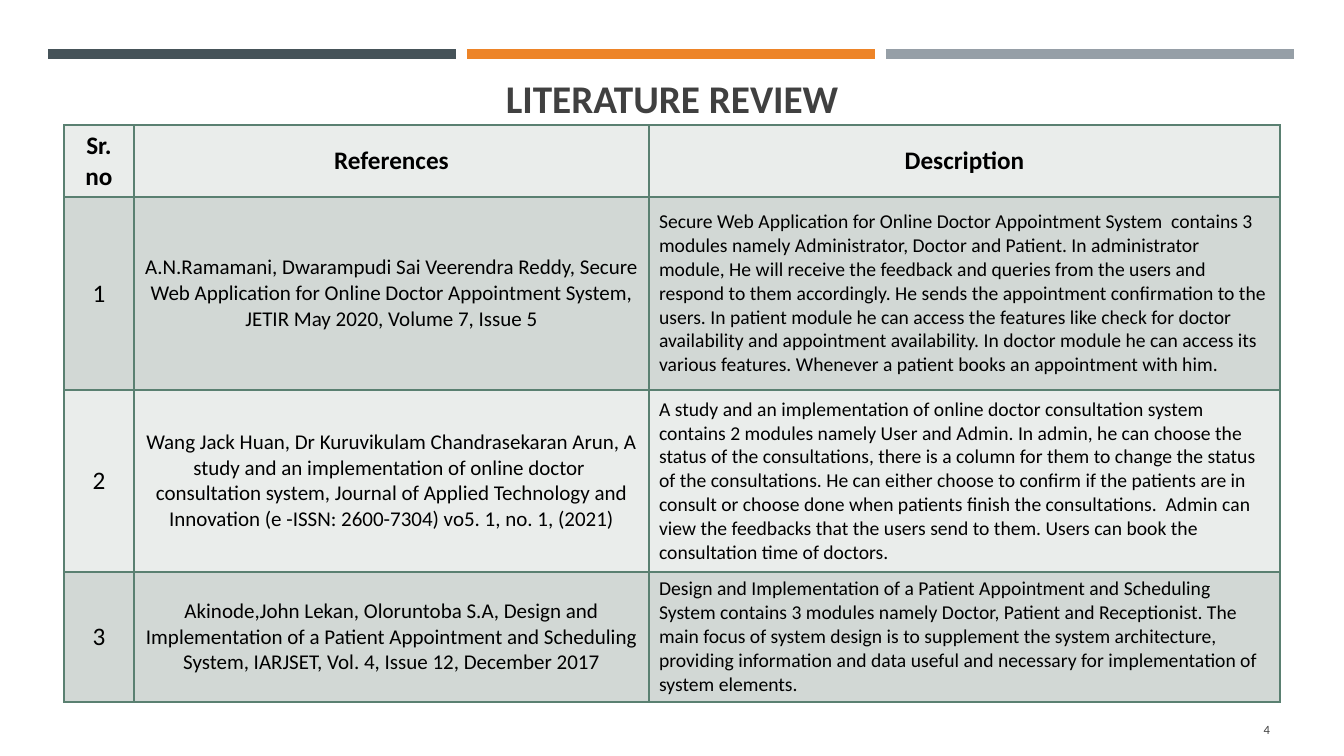
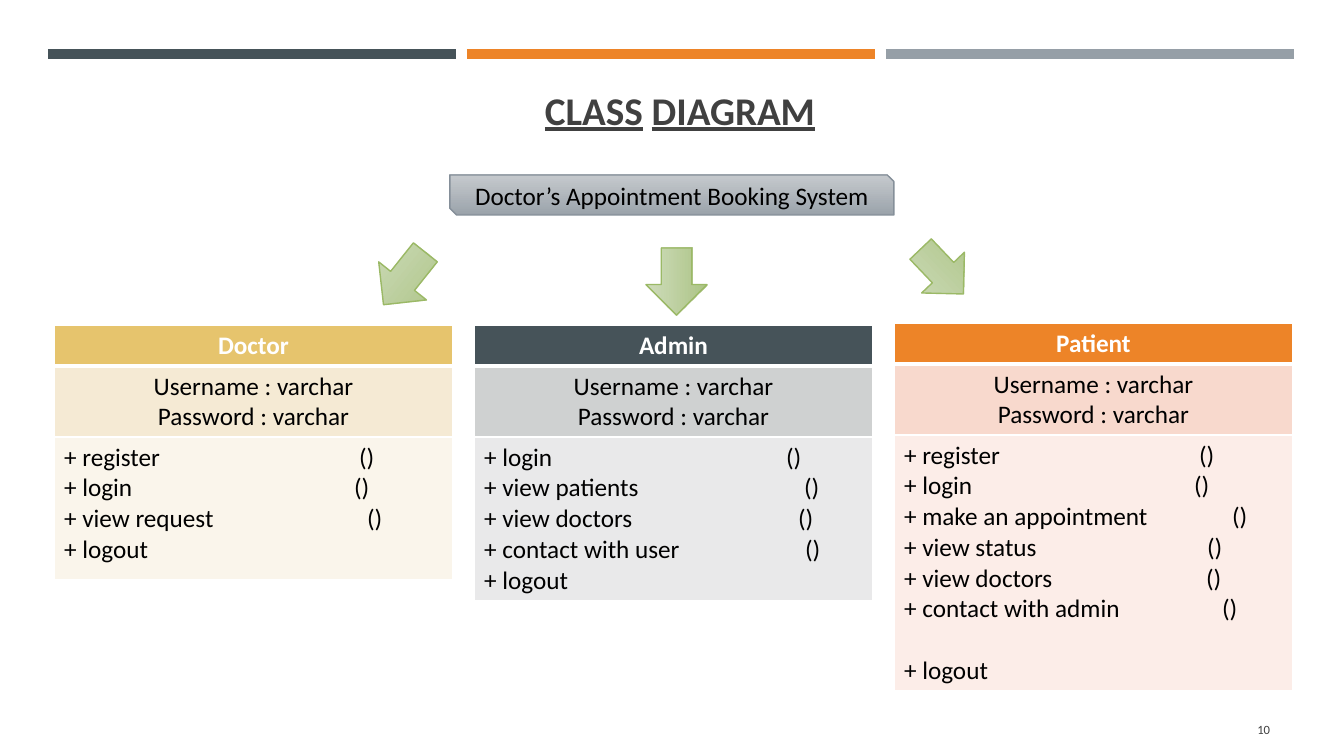
from lxml import etree
from pptx import Presentation
from pptx.dml.color import RGBColor
from pptx.enum.shapes import MSO_CONNECTOR, MSO_SHAPE
from pptx.enum.text import MSO_ANCHOR, MSO_AUTO_SIZE, PP_ALIGN
from pptx.oxml.ns import qn
from pptx.util import Emu, Pt

LEFT, MID, RIGHT = PP_ALIGN.LEFT, PP_ALIGN.CENTER, PP_ALIGN.RIGHT
TOP, CENTER, BOTTOM = MSO_ANCHOR.TOP, MSO_ANCHOR.MIDDLE, MSO_ANCHOR.BOTTOM
STRAIGHT = MSO_CONNECTOR.STRAIGHT
SNIP, ARROW = MSO_SHAPE.SNIP_2_DIAG_RECTANGLE, MSO_SHAPE.LEFT_ARROW

BLACK = RGBColor(0x00, 0x00, 0x00)
WHITE = RGBColor(0xFF, 0xFF, 0xFF)
INK = RGBColor(0x40, 0x40, 0x40)
SLATE = RGBColor(0x46, 0x53, 0x59)
ORANGE = RGBColor(0xED, 0x84, 0x28)
GREY = RGBColor(0x96, 0x9F, 0xA7)
GREEN = RGBColor(0x5A, 0x80, 0x71)
PALE = RGBColor(0xEA, 0xED, 0xEB)
SAGE = RGBColor(0xD2, 0xD8, 0xD5)
GOLD = RGBColor(0xE6, 0xC4, 0x6D)
GOLD_MID = RGBColor(0xF5, 0xEA, 0xD4)
GOLD_PALE = RGBColor(0xFA, 0xF5, 0xEB)
SLATE_MID = RGBColor(0xCF, 0xD1, 0xD1)
SLATE_PALE = RGBColor(0xE9, 0xE9, 0xEA)
PEACH_MID = RGBColor(0xF8, 0xD9, 0xCD)
PEACH_PALE = RGBColor(0xFC, 0xED, 0xE8)
STEEL = (RGBColor(0xC0, 0xC5, 0xC9), RGBColor(0x9B, 0xA3, 0xAB))
STEEL_EDGE = RGBColor(0x85, 0x8F, 0x99)
LEAF = (RGBColor(0xCA, 0xD9, 0xB4), RGBColor(0xAC, 0xC4, 0x85))
LEAF_EDGE = RGBColor(0x9B, 0xB9, 0x66)

SCALE = 914400 / 100.8


def px(*nums):
    return [Emu(round(n * SCALE)) for n in nums]


def write(frame, lines, align, color, size, bold=False):
    """Fill a frame; a line is a string or a tuple of runs."""
    look = {"name": "Calibri", "size": Pt(size), "bold": bold}
    for i, line in enumerate(lines):
        para = frame.add_paragraph() if i else frame.paragraphs[0]
        para.alignment = align
        for part in [line] if isinstance(line, str) else line:
            run = para.add_run()
            run.text = part
            run.font.color.rgb = color
            for key, value in look.items():
                setattr(run.font, key, value)


prs = Presentation()
prs.slide_width, prs.slide_height = px(1344, 756)
layout = prs.slide_layouts[5]

# Titles and page numbers
review, classes = [prs.slides.add_slide(layout) for _ in range(2)]
heads = [
    (review, ("LITERATURE REVIEW",), (64, 67, 1216, 59), "4"),
    (classes, ("CLASS", " ", "DIAGRAM"), (72, 78, 1216, 60), "10"),
]
for slide, words, box, page in heads:
    title = slide.shapes.title
    title.left, title.top, title.width, title.height = px(*box)
    frame = title.text_frame
    frame.auto_size = MSO_AUTO_SIZE.NONE
    frame.vertical_anchor = BOTTOM
    write(frame, [words], MID, INK, 28, True)
    note = slide.shapes.add_textbox(*px(1164, 709, 116, 40)).text_frame
    note.word_wrap = True
    note.vertical_anchor = CENTER
    write(note, [page], RIGHT, INK, 9)

for run in classes.shapes.title.text_frame.paragraphs[0].runs:
    run.font.underline = run.text != " "

# Bands, moved to the layout so that both slides share them
for i, color in enumerate((SLATE, ORANGE, GREY)):
    x = 48 + 419 * i
    band = review.shapes.add_connector(STRAIGHT, *px(x, 54, x + 408, 54))
    band.line.color.rgb = color
    band.line.width = Pt(6.5)
    etree.SubElement(band.element.spPr, qn("a:effectLst"))
    layout.shapes.element.append(band.element)

# Table contents: one list of lines per cell
papers = [
    [["Sr. no"], ["References"], ["Description"]],
    [["1"],
     ["A.N.Ramamani, Dwarampudi Sai Veerendra Reddy, Secure Web Application for "
      "Online Doctor Appointment System, JETIR May 2020, Volume 7, Issue 5"],
     ["Secure Web Application for Online Doctor Appointment System  contains 3 "
      "modules namely Administrator, Doctor and Patient. In administrator module, "
      "He will receive the feedback and queries from the users and respond to them "
      "accordingly. He sends the appointment confirmation to the users. In patient "
      "module he can access the features like check for doctor availability and "
      "appointment availability. In doctor module he can access its various "
      "features. Whenever a patient books an appointment with him."]],
    [["2"],
     ["Wang Jack Huan, Dr Kuruvikulam Chandrasekaran Arun, A study and an "
      "implementation of online doctor ",
      "consultation system, Journal of Applied Technology and Innovation "
      "(e -ISSN: 2600-7304) vo5. 1, no. 1, (2021)"],
     ["A study and an implementation of online doctor consultation system contains "
      "2 modules namely User and Admin. In admin, he can choose the status of the "
      "consultations, there is a column for them to change the status of the "
      "consultations. He can either choose to confirm if the patients are in "
      "consult or choose done when patients finish the consultations.  Admin can "
      "view the feedbacks that the users send to them. Users can book the "
      "consultation time of doctors."]],
    [["3"],
     ["Akinode,John Lekan, Oloruntoba S.A, Design and Implementation of a Patient "
      "Appointment and Scheduling System, IARJSET, Vol. 4, Issue 12, December 2017"],
     ["Design and Implementation of a Patient Appointment and Scheduling System "
      "contains 3 modules namely Doctor, Patient and Receptionist. The main focus "
      "of system design is to supplement the system architecture, providing "
      "information and data useful and necessary for implementation of system "
      "elements."]],
]
fields = ["Username : varchar", "Password : varchar"]

# Each method with the tab stop of its brackets
roles = [
    ("Doctor", 325, 143, (GOLD, GOLD_MID, GOLD_PALE),
     [("register", 295), ("login", 290), ("view request", 303)]),
    ("Admin", 325, 164, (SLATE, SLATE_MID, SLATE_PALE),
     [("login", 302), ("view patients", 320), ("view doctors", 314),
      ("contact with user", 321)]),
    ("Patient", 323, 256, (ORANGE, PEACH_MID, PEACH_PALE),
     [("register", 295), ("login", 290), ("make an appointment", 328),
      ("view status", 303), ("view doctors", 302), ("contact with admin", 318)]),
]

# Slide, corner, widths, heights, fills, cells, looks, anchor, edge, head rule
body = [(MID, BLACK, 18), (MID, BLACK, 15), (LEFT, BLACK, 14)]
grids = [(review, (64, 125), (70, 515, 631), (72, 193, 182, 130),
          (PALE, SAGE, PALE, SAGE), papers,
          [[(MID, BLACK, 18, True)] * 3] + [body] * 3, CENTER, GREEN, 1)]
for i, (name, top, tall, fills, calls) in enumerate(roles):
    lines = [f"+ {call}\t()" for call, _ in calls] + ["+ logout"]
    grids.append((classes, (54 + 420 * i, top), (399,), (41, 71, tall), fills,
                  [[[name]], [fields], [lines]],
                  [[(MID, WHITE, 18, True)], [(MID, BLACK, 18)], [(LEFT, BLACK, 18)]],
                  TOP, WHITE, 3))

tables = []
for slide, spot, wides, talls, fills, cells, looks, anchor, edge, rule in grids:
    size = (sum(wides), sum(talls))
    table = slide.shapes.add_table(len(talls), len(wides), *px(*spot, *size)).table
    table.horz_banding = False
    tables.append(table)
    for col, wide in zip(table.columns, px(*wides)):
        col.width = wide
    for r, (row, tall) in enumerate(zip(table.rows, px(*talls))):
        row.height = tall
        for c, cell in enumerate(row.cells):
            cell.vertical_anchor = anchor
            props = cell._tc.get_or_add_tcPr()
            for side in "LRTB":
                thick = rule if (r, side) in ((0, "B"), (1, "T")) else 1
                line = etree.SubElement(props, qn(f"a:ln{side}"), w=str(Pt(thick)))
                solid = etree.SubElement(line, qn("a:solidFill"))
                etree.SubElement(solid, qn("a:srgbClr"), val=str(edge))
            cell.fill.solid()
            cell.fill.fore_color.rgb = fills[r]
            write(cell.text_frame, cells[r][c], *looks[r][c])

for table, role in zip(tables[1:], roles):
    paras = table.cell(2, 0).text_frame.paragraphs
    for para, (_, stop) in zip(paras, role[-1]):
        tabs = etree.SubElement(para._p.get_or_add_pPr(), qn("a:tabLst"))
        etree.SubElement(tabs, qn("a:tab"), pos=str(px(stop)[0]), algn="l")
# The last method of the last class stands one line apart
paras[-1].space_before = Pt(22)

# System box and arrows
shapes = [
    (SNIP, (450, 175, 444, 40), 0, STEEL, STEEL_EDGE),
    (ARROW, (371, 248, 67, 61), 308.6, LEAF, LEAF_EDGE),
    (ARROW, (643, 251, 67, 61), 270, LEAF, LEAF_EDGE),
    (ARROW, (911, 242, 62, 59), 226.4, LEAF, LEAF_EDGE),
]
for kind, box, turn, shades, edge in shapes:
    shape = classes.shapes.add_shape(kind, *px(*box))
    shape.rotation = turn
    shape.shadow.inherit = False
    shape.fill.gradient()
    shape.fill.gradient_angle = 270
    for i, (stop, shade) in enumerate(zip(shape.fill.gradient_stops, shades)):
        stop.position = i
        stop.color.rgb = shade
    first = next(shape.element.iter(qn("a:srgbClr")))
    etree.SubElement(first, qn("a:alpha"), val="90000")
    shape.line.color.rgb = edge
    shape.line.width = Pt(1)
    if kind == SNIP:
        shape.text_frame.vertical_anchor = CENTER
        write(shape.text_frame, ["Doctor’s Appointment Booking System"], MID, BLACK, 18)

prs.save("out.pptx")
